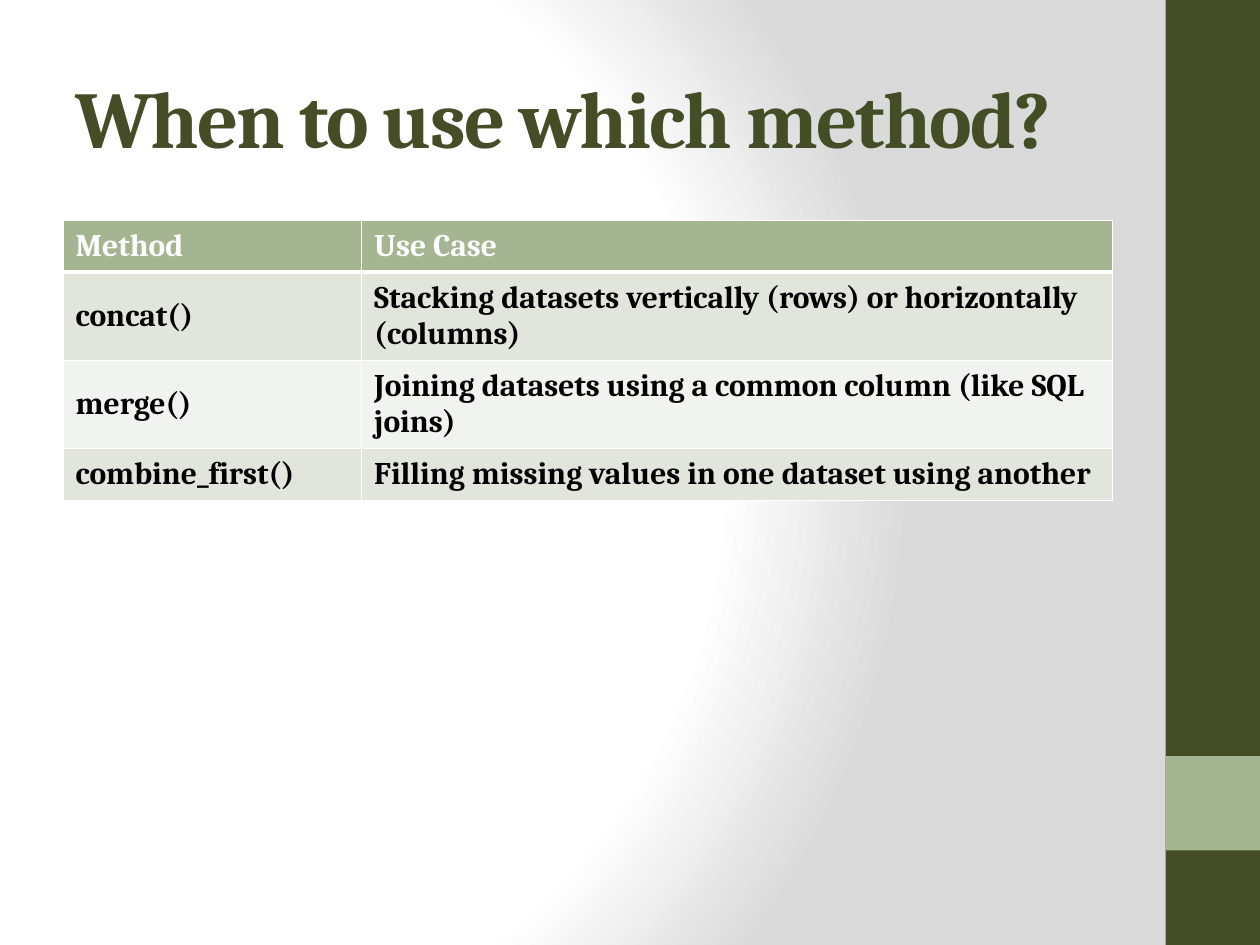
from dataclasses import dataclass

from pptx import Presentation
from pptx.dml.color import RGBColor
from pptx.enum.shapes import MSO_SHAPE
from pptx.enum.text import MSO_ANCHOR
from pptx.oxml import parse_xml
from pptx.oxml.ns import nsdecls
from pptx.util import Pt

RECTANGLE = MSO_SHAPE.RECTANGLE
MIDDLE = MSO_ANCHOR.MIDDLE

EMU_PER_PX = 9144  # 100 px to the inch
FONT = "Cambria"
WHITE, BLACK, GREY = "FFFFFF", "000000", "DADADA"
DARK_GREEN, SAGE = "444D26", "A5B592"
ROW_TINTS = ("E1E5DC", "F0F3EE")


@dataclass
class Band:
    left: int
    top: int
    width: int
    height: int
    color: str


SIDE_BANDS = [
    Band(925, 0, 75, 750, DARK_GREEN),
    Band(925, 600, 75, 75, SAGE),
]

COLUMN_WIDTHS = (237, 596)
ROW_HEIGHT = 41
METHODS = [
    ("Method", "Use Case"),
    ("concat()", "Stacking datasets vertically (rows) or horizontally (columns)"),
    ("merge()", "Joining datasets using a common column (like SQL joins)"),
    ("combine_first()", "Filling missing values in one dataset using another"),
]


def px(length: int) -> int:
    return length * EMU_PER_PX


def rgb(color: str) -> RGBColor:
    return RGBColor.from_string(color)


def write(frame, text: str, *, size: int, color: str, spacing: int = 0) -> None:
    run = frame.paragraphs[0].add_run()
    run.text = text
    run.font.name = FONT
    run.font.size = Pt(size)
    run.font.bold = True
    run.font.color.rgb = rgb(color)
    if spacing:
        run.font._element.set("spc", str(spacing * 100))


def draw_background(slide) -> None:
    slide.background.fill.solid()
    properties = slide.element.xpath(".//p:bgPr")[0]
    stops = "".join(
        f'<a:gs pos="{percent * 1000}"><a:srgbClr val="{color}"/></a:gs>'
        for percent, color in ((0, WHITE), (75, WHITE), (100, GREY))
    )
    gradient = parse_xml(
        f'<a:gradFill {nsdecls("a")} rotWithShape="1"><a:gsLst>{stops}</a:gsLst>'
        '<a:path path="circle">'
        '<a:fillToRect l="20000" t="50000" r="100000" b="50000"/>'
        "</a:path></a:gradFill>"
    )
    properties.replace(properties[0], gradient)


def draw_band(slide, band: Band) -> None:
    shape = slide.shapes.add_shape(
        RECTANGLE, px(band.left), px(band.top), px(band.width), px(band.height)
    )
    shape.shadow.inherit = False
    shape.fill.solid()
    shape.fill.fore_color.rgb = rgb(band.color)
    shape.line.fill.background()


def draw_title(slide, title: str) -> None:
    frame = slide.shapes.add_textbox(px(50), px(30), px(833), px(125)).text_frame
    frame.word_wrap = True
    frame.vertical_anchor = MIDDLE
    write(frame, title, size=46, color=DARK_GREEN, spacing=-1)


def set_borders(cell, top: int, bottom: int) -> None:
    properties = cell._tc.get_or_add_tcPr()
    for side, width in (("L", 1), ("R", 1), ("T", top), ("B", bottom)):
        properties.append(parse_xml(
            f'<a:ln{side} {nsdecls("a")} w="{Pt(width)}"><a:solidFill>'
            f'<a:srgbClr val="{WHITE}"/></a:solidFill></a:ln{side}>'
        ))


def draw_table(slide) -> None:
    table = slide.shapes.add_table(
        len(METHODS), len(COLUMN_WIDTHS), px(50), px(175),
        px(sum(COLUMN_WIDTHS)), px(ROW_HEIGHT * len(METHODS)),
    ).table
    for column, width in zip(table.columns, COLUMN_WIDTHS):
        column.width = px(width)
    for row_index, texts in enumerate(METHODS):
        is_header = row_index == 0
        table.rows[row_index].height = px(ROW_HEIGHT)
        for column_index, text in enumerate(texts):
            cell = table.cell(row_index, column_index)
            cell.vertical_anchor = MIDDLE
            # The rule under the header is shared with the first body row
            set_borders(cell, top=3 if row_index == 1 else 1,
                        bottom=3 if is_header else 1)
            cell.fill.solid()
            tint = SAGE if is_header else ROW_TINTS[(row_index - 1) % 2]
            cell.fill.fore_color.rgb = rgb(tint)
            write(cell.text_frame, text, size=18,
                  color=WHITE if is_header else BLACK)


def main() -> None:
    presentation = Presentation()
    presentation.slide_width = px(1000)
    presentation.slide_height = px(750)
    slide = presentation.slides.add_slide(presentation.slide_layouts[6])

    # Backdrop and side bands
    draw_background(slide)
    for band in SIDE_BANDS:
        draw_band(slide, band)

    # Title and method table
    draw_title(slide, "When to use which method?")
    draw_table(slide)

    presentation.save("out.pptx")


if __name__ == "__main__":
    main()
